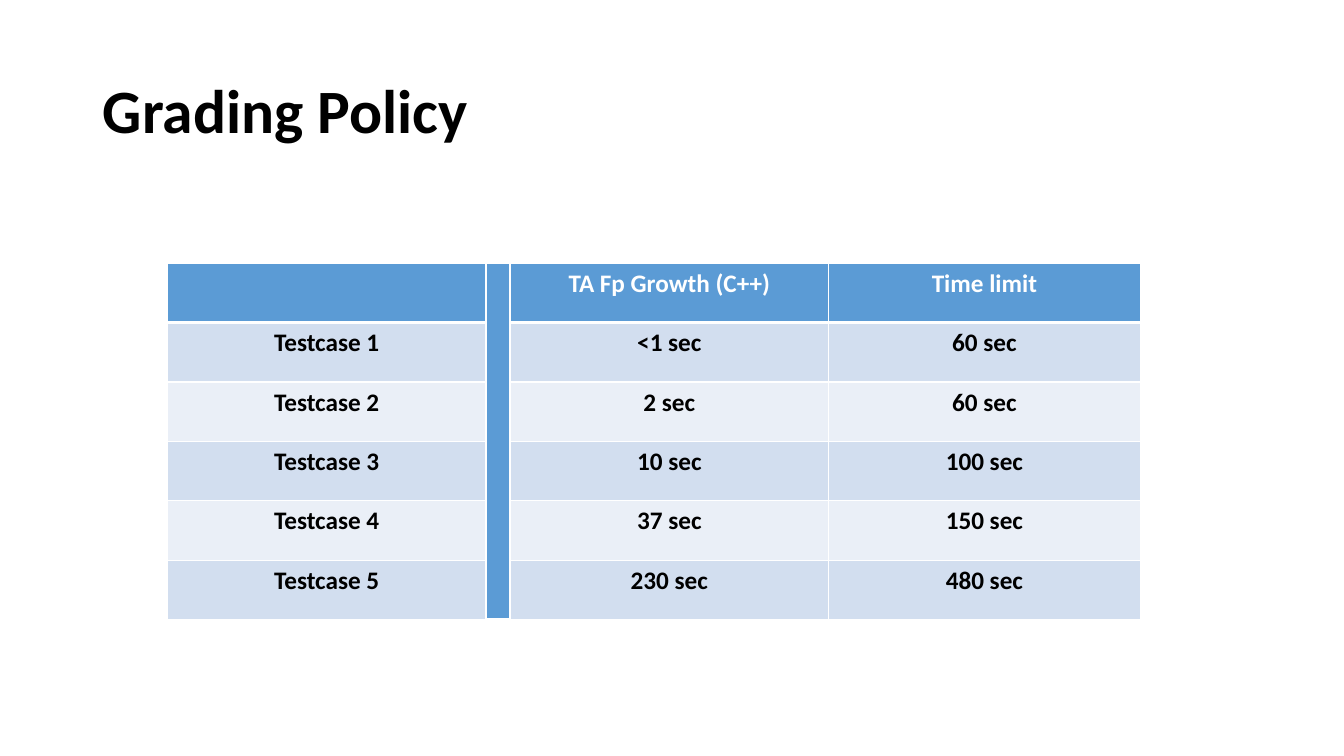
from lxml import etree
from pptx import Presentation
from pptx.dml.color import RGBColor
from pptx.enum import text as t
from pptx.oxml import ns
from pptx.util import Inches, Pt

WHITE = RGBColor(0xFF, 0xFF, 0xFF)
BLACK = RGBColor(0, 0, 0)
BLUE = RGBColor(0x5B, 0x9B, 0xD5)
BANDS = RGBColor(0xEA, 0xEF, 0xF7), RGBColor(0xD2, 0xDE, 0xEF)

WIDTHS = 3.16, 0.23, 3.16, 3.09
HEIGHT = 0.59
ROWS = [
    ("", "", "TA Fp Growth (C++)", "Time limit"),
    ("Testcase 1", "", "<1 sec", "60 sec"),
    ("Testcase 2", "", "2 sec", "60 sec"),
    ("Testcase 3", "", "10 sec", "100 sec"),
    ("Testcase 4", "", "37 sec", "150 sec"),
    ("Testcase 5", "", "230 sec", "480 sec"),
]


def write(frame, words, size=18, color=BLACK, align=t.PP_ALIGN.CENTER, lead=None):
    para = frame.paragraphs[0]
    para.alignment = align
    para.line_spacing = lead
    run = para.add_run()
    run.text = words
    font = run.font
    font.name = "Calibri"
    font.size = Pt(size)
    font.bold = True
    font.color.rgb = color


def add_title(slide, words):
    title = slide.shapes.title
    title.left, title.top = Inches(0.92), Inches(0.4)
    title.width, title.height = Inches(11.5), Inches(1.45)
    frame = title.text_frame
    frame.word_wrap = True
    frame.vertical_anchor = t.MSO_ANCHOR.MIDDLE
    write(frame, words, size=44, align=t.PP_ALIGN.LEFT, lead=0.9)


def add_edge(cell, side, width):
    props = cell._tc.get_or_add_tcPr()
    line = etree.SubElement(props, ns.qn("a:ln" + side), w=str(Pt(width)))
    fill = etree.SubElement(line, ns.qn("a:solidFill"))
    etree.SubElement(fill, ns.qn("a:srgbClr"), val=str(WHITE))


def style_cell(cell, row, fill):
    thick = {"T": row == 1, "B": row == 0}
    for side in "LRTB":
        add_edge(cell, side, 3 if thick.get(side) else 1)
    cell.fill.solid()
    cell.fill.fore_color.rgb = fill


def add_grid(slide):
    frame = slide.shapes.add_table(
        len(ROWS), len(WIDTHS), Inches(1.66), Inches(2.61),
        Inches(sum(WIDTHS)), Inches(HEIGHT * len(ROWS)))
    table = frame.table
    for col, width in zip(table.columns, WIDTHS):
        col.width = Inches(width)
    for r, words in enumerate(ROWS):
        table.rows[r].height = Inches(HEIGHT)
        for c, word in enumerate(words):
            cell = table.cell(r, c)
            style_cell(cell, r, BLUE if r == 0 or c == 1 else BANDS[r % 2])
            if word:
                write(cell.text_frame, word, color=BLACK if r else WHITE)
    table.cell(0, 1).merge(table.cell(len(ROWS) - 1, 1))


def main():
    deck = Presentation()
    deck.slide_width, deck.slide_height = Inches(13.33), Inches(7.5)
    slide = deck.slides.add_slide(deck.slide_layouts[5])
    add_title(slide, "Grading Policy")
    add_grid(slide)
    deck.save("out.pptx")


if __name__ == "__main__":
    main()
